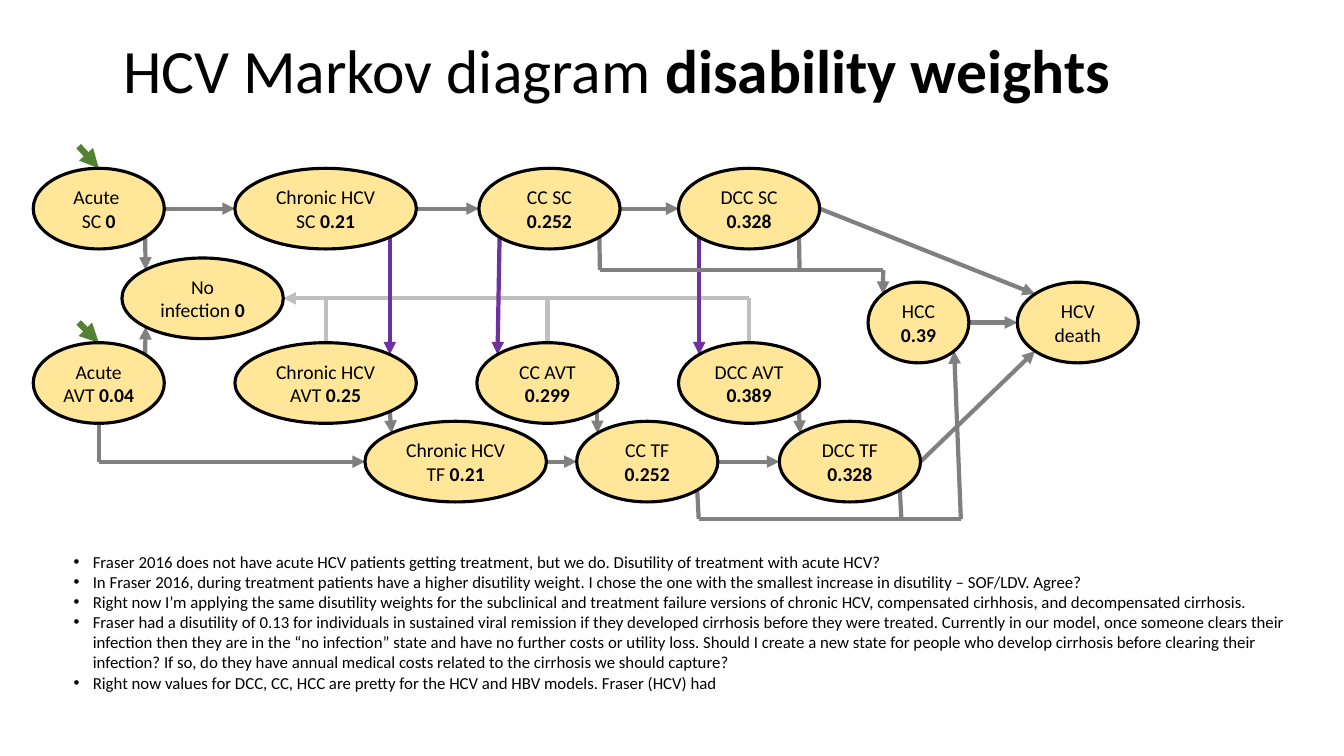
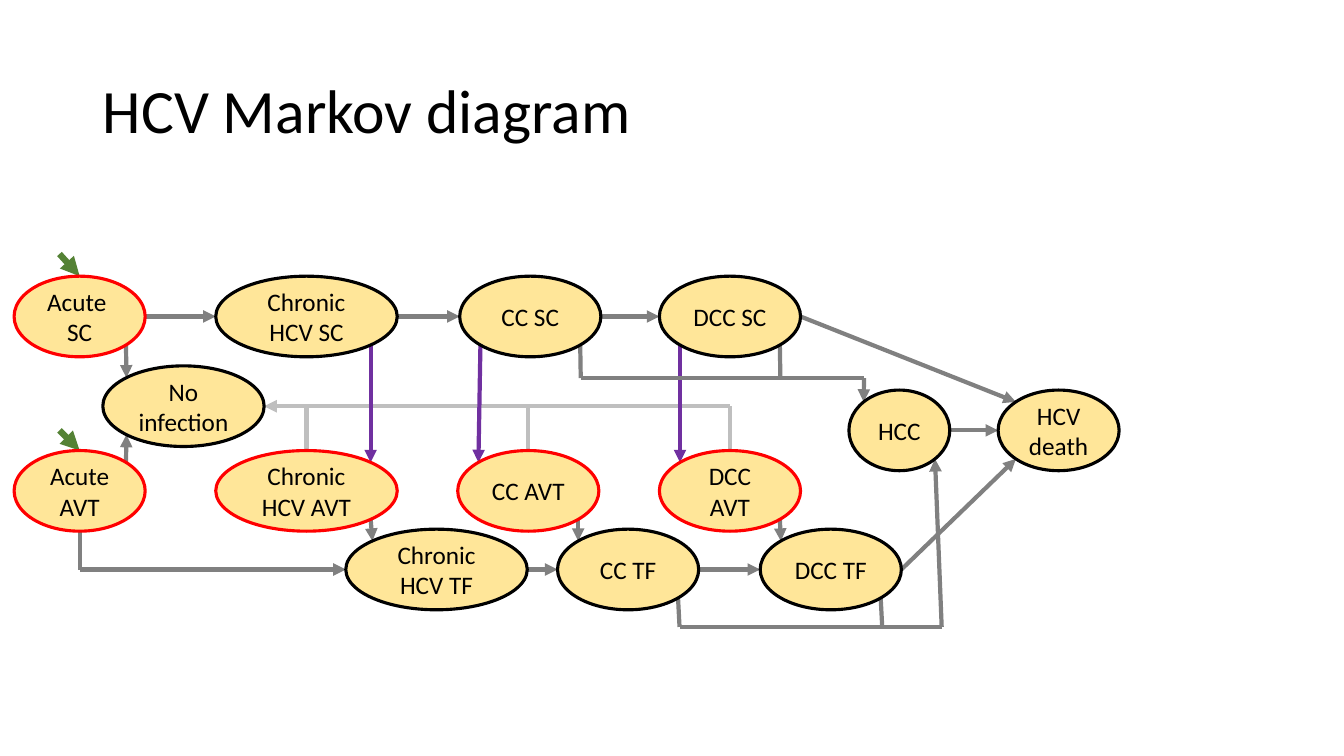
from dataclasses import dataclass
from typing import Union

import lxml.etree
import pptx
import pptx.dml.color
import pptx.enum.shapes
import pptx.enum.text
import pptx.oxml.ns
import pptx.util

Inches = pptx.util.Inches
Point = tuple[float, float]
Stop = Union[str, Point]

FONT = "Calibri"
BLACK = "000000"
RED = "FF0000"
SAND = "FFE699"
GREY = "808080"
PALE = "BFBFBF"
PURPLE = "7030A0"
GREEN = "548235"

HIGH = 0.8
SLANT = 0.5 ** 0.5
UPPER, MID, LOWER = 1.67, 3.4, 4.18
CLEAR, CROSS, UNDER = 2.96, 2.68, 5.15

SIDES: dict[str, Point] = {
    "n": (0, -1), "e": (1, 0), "s": (0, 1), "w": (-1, 0),
    "ne": (SLANT, -SLANT), "se": (SLANT, SLANT),
    "sw": (-SLANT, SLANT), "nw": (-SLANT, -SLANT),
}


@dataclass(frozen=True)
class State:
    left: float
    top: float
    wide: float
    name: str
    weight: str = ""
    treated: bool = False

    def point(self, side: str) -> Point:
        across, down = SIDES[side]
        return (self.left + self.wide / 2 * (1 + across),
                self.top + HIGH / 2 * (1 + down))


@dataclass(frozen=True)
class Route:
    stops: tuple[Stop, ...]
    color: str = GREY
    arrow: bool = True
    width: float = 3


@dataclass(frozen=True)
class Page:
    title: tuple[str, str]
    left: float
    top: float
    shift: Point
    size: int
    weights: bool
    notes: tuple[str, ...] = ()


STATES: dict[str, State] = {
    "chronic-sc": State(2.33, UPPER, 1.8, "Chronic HCV SC", "0.21"),
    "cc-sc": State(4.75, UPPER, 1.4, "CC SC", "0.252"),
    "dcc-sc": State(6.73, UPPER, 1.4, "DCC SC", "0.328"),
    "hcc": State(8.61, 2.8, 1, "HCC", "0.39"),
    "death": State(10.09, 2.8, 1.2, "HCV death"),
    "cc-avt": State(4.73, MID, 1.4, "CC AVT", "0.299", True),
    "clear": State(1.21, 2.56, 1.6, "No infection", "0"),
    "chronic-avt": State(2.33, MID, 1.8, "Chronic HCV AVT", "0.25", True),
    "acute-sc": State(0.33, UPPER, 1.3, "Acute \nSC", "0", True),
    "acute-avt": State(0.33, MID, 1.3, "Acute AVT", "0.04", True),
    "dcc-avt": State(6.73, MID, 1.4, "DCC AVT", "0.389", True),
    "dcc-tf": State(7.73, LOWER, 1.4, "DCC TF", "0.328"),
    "cc-tf": State(5.72, LOWER, 1.4, "CC TF", "0.252"),
    "chronic-tf": State(3.62, LOWER, 1.8, "Chronic HCV TF", "0.21"),
}

ROUTES = (
    Route(("acute-sc e", "chronic-sc w")),
    Route(("chronic-sc e", "cc-sc w")),
    Route(("cc-sc e", "dcc-sc w")),
    Route(("acute-avt ne", "clear sw")),
    Route(("acute-sc se", "clear nw")),
    Route(("acute-avt s", (0.98, 4.58), "chronic-tf w")),
    *(Route((f"{stage}-avt se", f"{stage}-tf nw")) for stage in ("chronic", "cc", "dcc")),
    Route(("dcc-avt n", (7.43, CLEAR), "clear e"), PALE),
    Route(("chronic-avt n", (3.23, CLEAR)), PALE, False),
    Route(("cc-avt n", (5.43, CLEAR)), PALE, False),
    Route(("chronic-sc se", "chronic-avt ne"), PURPLE),
    *(Route((f"{stage}-sc sw", f"{stage}-avt nw"), PURPLE) for stage in ("cc", "dcc")),
    Route(("chronic-tf e", "cc-tf w")),
    Route(("cc-tf e", "dcc-tf w")),
    Route(("cc-sc se", (5.95, CROSS), (8.76, CROSS), "hcc nw")),
    Route(("dcc-sc se", (7.93, CROSS)), arrow=False),
    Route(("cc-tf se", (6.93, UNDER), (9.53, UNDER), "hcc se")),
    Route(("dcc-tf se", (8.94, UNDER)), arrow=False),
    Route(("hcc e", "death w")),
    Route(("dcc-sc e", "death nw")),
    Route(("dcc-tf e", "death sw")),
    Route(((0.78, 1.45), "acute-sc n"), GREEN, width=4.5),
    Route(((0.78, 3.2), "acute-avt n"), GREEN, width=4.5),
)

PAGES = (
    Page(("HCV Markov diagram ", "disability weights"), 1.12, 0, (0, 0), 14, True, (
        "Fraser 2016 does not have acute HCV patients getting treatment, but we do. "
        "Disutility of treatment with acute HCV?",
        "In Fraser 2016, during treatment patients have a higher disutility weight. "
        "I chose the one with the smallest increase in disutility – SOF/LDV. Agree?",
        "Right now I’m applying the same disutility weights for the subclinical and "
        "treatment failure versions of chronic HCV, compensated cirhhosis, and "
        "decompensated cirrhosis.",
        "Fraser had a disutility of 0.13 for individuals in sustained viral remission if "
        "they developed cirrhosis before they were treated. Currently in our model, once "
        "someone clears their infection then they are in the “no infection” state and have "
        "no further costs or utility loss. Should I create a new state for people who "
        "develop cirrhosis before clearing their infection? If so, do they have annual "
        "medical costs related to the cirrhosis we should capture?",
        "Right now values for DCC, CC, HCC are pretty for the HCV and HBV models. "
        "Fraser (HCV) had",
    )),
    Page(("HCV Markov diagram", ""), 0.92, 0.4, (-0.19, 1.07), 18, False),
)


def paint(color: str) -> pptx.dml.color.RGBColor:
    return pptx.dml.color.RGBColor.from_string(color)


def node(parent, tag: str, **attrs: str) -> None:
    lxml.etree.SubElement(parent, pptx.oxml.ns.qn(tag), attrs)


def place(shape, left: float, top: float, wide: float, high: float) -> None:
    shape.left, shape.top = Inches(left), Inches(top)
    shape.width, shape.height = Inches(wide), Inches(high)


def style(para, size: float, align: str = "LEFT") -> None:
    para.alignment = getattr(pptx.enum.text.PP_ALIGN, align)
    para.font.name = FONT
    para.font.size = pptx.util.Pt(size)
    para.font.color.rgb = paint(BLACK)


def write(para, text: str, bold: bool = False) -> None:
    if text:
        run = para.add_run()
        run.text = text
        if bold:
            run.font.bold = True


def head(slide, page: Page) -> None:
    title = slide.shapes.title
    place(title, page.left, page.top, 11.5, 1.45)
    frame = title.text_frame
    frame.auto_size = pptx.enum.text.MSO_AUTO_SIZE.NONE
    frame.vertical_anchor = pptx.enum.text.MSO_ANCHOR.MIDDLE
    para = frame.paragraphs[0]
    style(para, 44)
    para.line_spacing = 0.9
    plain, strong = page.title
    write(para, plain)
    write(para, strong, True)


def locate(stop: Stop, shift: Point) -> Point:
    if isinstance(stop, str):
        key, side = stop.split()
        stop = STATES[key].point(side)
    return stop[0] + shift[0], stop[1] + shift[1]


def trace(slide, route: Route, shift: Point) -> None:
    points = [locate(stop, shift) for stop in route.stops]
    for start, end in zip(points, points[1:]):
        line = slide.shapes.add_connector(
            pptx.enum.shapes.MSO_CONNECTOR.STRAIGHT, *map(Inches, start + end))
        line.line.color.rgb = paint(route.color)
        line.line.width = pptx.util.Pt(route.width)
        if route.arrow and end == points[-1]:
            node(line.line._get_or_add_ln(), "a:tailEnd", type="triangle")
        node(line._element.spPr, "a:effectLst")


def bubble(slide, state: State, page: Page) -> None:
    across, down = page.shift
    oval = slide.shapes.add_shape(
        pptx.enum.shapes.MSO_SHAPE.OVAL, Inches(state.left + across),
        Inches(state.top + down), Inches(state.wide), Inches(HIGH))
    oval.shadow.inherit = False
    oval.fill.solid()
    oval.fill.fore_color.rgb = paint(SAND)
    oval.line.color.rgb = paint(RED if state.treated and not page.weights else BLACK)
    oval.line.width = pptx.util.Pt(2.25)
    frame = oval.text_frame
    frame.word_wrap = True
    frame.vertical_anchor = pptx.enum.text.MSO_ANCHOR.MIDDLE
    weight = state.weight if page.weights else ""
    label = f"{state.name} " if weight else state.name
    for index, text in enumerate(label.split("\n")):
        para = frame.add_paragraph() if index else frame.paragraphs[0]
        style(para, page.size, "CENTER")
        write(para, text)
    write(para, weight, True)


def remark(slide, notes: tuple[str, ...]) -> None:
    body = slide.placeholders[1]
    place(body, 0.63, 5.42, 12.58, 1.72)
    frame = body.text_frame
    frame.auto_size = pptx.enum.text.MSO_AUTO_SIZE.SHAPE_TO_FIT_TEXT
    for index, text in enumerate(notes):
        para = frame.add_paragraph() if index else frame.paragraphs[0]
        para.space_before = pptx.util.Pt(0)
        props = para._p.get_or_add_pPr()
        props.set("marL", str(Inches(0.19)))
        props.set("indent", str(Inches(-0.19)))
        node(props, "a:buFont", typeface="Arial")
        node(props, "a:buChar", char="•")
        style(para, 12)
        write(para, text)


def main() -> None:
    deck = pptx.Presentation()
    deck.slide_width, deck.slide_height = Inches(13.33), Inches(7.5)
    for page in PAGES:
        slide = deck.slides.add_slide(deck.slide_layouts[1 if page.notes else 5])
        head(slide, page)
        for route in ROUTES:
            trace(slide, route, page.shift)
        for state in STATES.values():
            bubble(slide, state, page)
        if page.notes:
            remark(slide, page.notes)
    deck.save("out.pptx")


if __name__ == "__main__":
    main()
